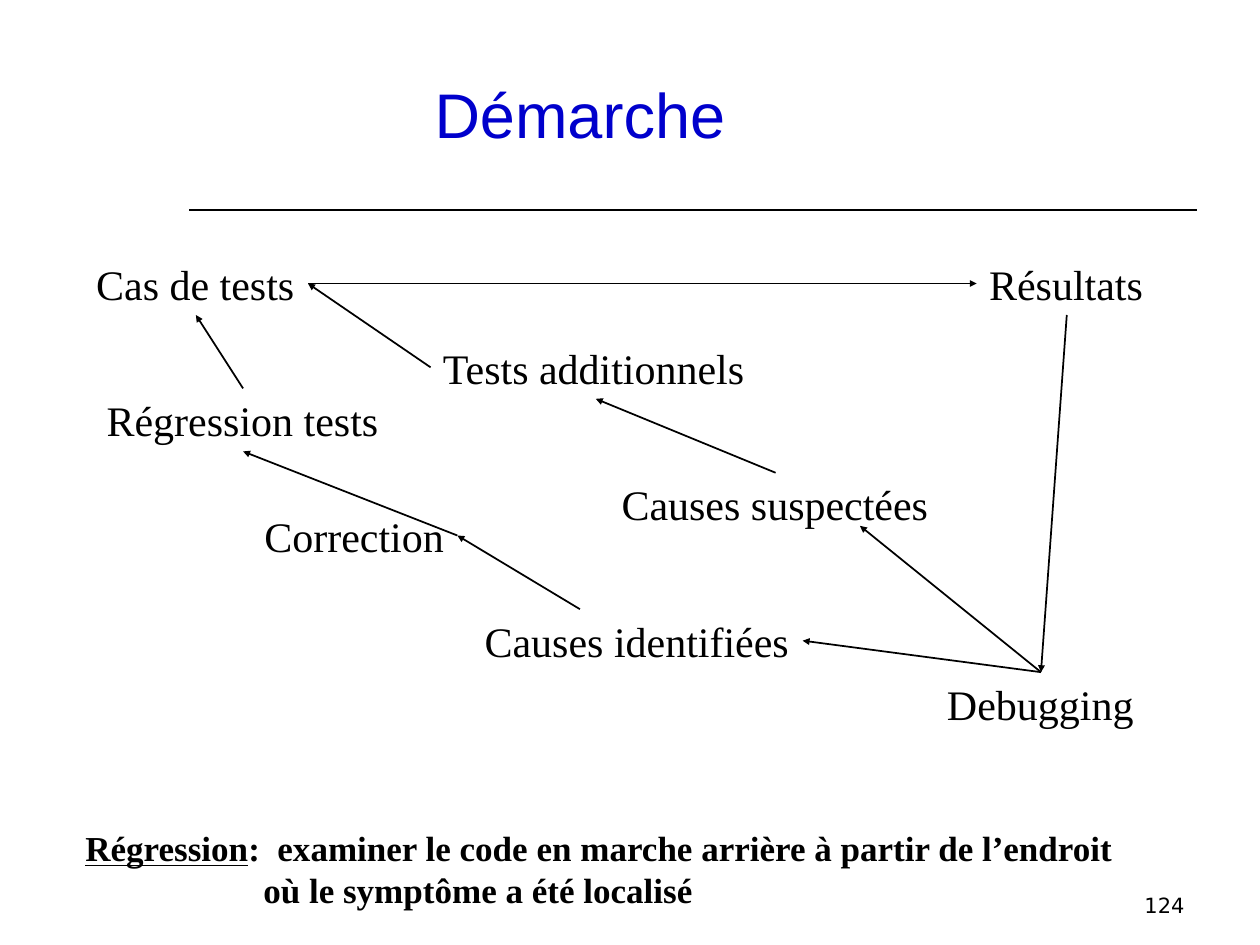
from dataclasses import dataclass
from enum import IntEnum

from lxml import etree
from pptx import Presentation
from pptx import util as u
from pptx.dml.color import RGBColor
from pptx.enum import shapes, text
from pptx.oxml import ns

BLACK = RGBColor(0x00, 0x00, 0x00)
BLUE = RGBColor(0x00, 0x00, 0xCC)
SERIF = "Times New Roman"
STEP_HEIGHT = 1.27


class Side(IntEnum):
    TOP = 0
    LEFT = 1
    BOTTOM = 2
    RIGHT = 3


@dataclass(frozen=True)
class Span:
    words: str
    size: int
    font: str = SERIF
    color: RGBColor = BLACK
    bold: bool = False
    underline: bool = False


@dataclass(frozen=True)
class Step:
    label: str
    left: float
    top: float
    width: float


@dataclass(frozen=True)
class End:
    step: Step
    side: Side
    shift: float = 0
    lift: float = 0

    def point(self) -> tuple[float, float]:
        across = {Side.LEFT: 0, Side.RIGHT: 1}.get(self.side, 0.5)
        down = {Side.TOP: 0, Side.BOTTOM: 1}.get(self.side, 0.5)
        return (self.step.left + across * self.step.width + self.shift,
                self.step.top + down * STEP_HEIGHT - self.lift)

    def is_centred(self) -> bool:
        return self.shift == 0 and self.lift == 0


CASES = Step("Cas de tests", 1.69, 5.08, 4.52)
RESULTS = Step("Résultats", 19.69, 5.08, 3.63)
DEBUGGING = Step("Debugging", 18.84, 13.55, 4.29)
IDENTIFIED = Step("Causes identifiées", 9.52, 12.28, 6.66)
SUSPECTED = Step("Causes suspectées", 12.28, 9.53, 6.71)
CORRECTION = Step("Correction", 5.08, 10.16, 4.14)
REGRESSION = Step("Régression tests", 1.9, 7.83, 6)
ADDITIONAL = Step("Tests additionnels", 8.68, 6.77, 6.66)
STEPS = (CASES, RESULTS, DEBUGGING, IDENTIFIED,
         SUSPECTED, CORRECTION, REGRESSION, ADDITIONAL)

ARROWS = (
    (End(CASES, Side.RIGHT), End(RESULTS, Side.LEFT)),
    (End(RESULTS, Side.BOTTOM), End(DEBUGGING, Side.TOP)),
    (End(DEBUGGING, Side.TOP), End(SUSPECTED, Side.BOTTOM, 1.7, 0.2)),
    (End(DEBUGGING, Side.TOP), End(IDENTIFIED, Side.RIGHT)),
    (End(SUSPECTED, Side.TOP), End(ADDITIONAL, Side.BOTTOM)),
    (End(IDENTIFIED, Side.TOP, -1.16), End(CORRECTION, Side.RIGHT)),
    (End(REGRESSION, Side.TOP), End(CASES, Side.BOTTOM)),
    (End(CORRECTION, Side.RIGHT), End(REGRESSION, Side.BOTTOM)),
    (End(ADDITIONAL, Side.LEFT), End(CASES, Side.RIGHT)),
)


def add_span(para, item: Span) -> None:
    span = para.add_run()
    span.text = item.words
    span.font.size = u.Pt(item.size)
    span.font.name = item.font
    span.font.bold = item.bold
    span.font.underline = item.underline
    span.font.color.rgb = item.color


def add_text(page, left: float, top: float, width: float, height: float,
             *lines: tuple[Span, ...], wrap: bool = False,
             anchor=text.MSO_ANCHOR.TOP, align=text.PP_ALIGN.LEFT):
    box = page.shapes.add_textbox(u.Cm(left), u.Cm(top), u.Cm(width), u.Cm(height))
    frame = box.text_frame
    frame.word_wrap = wrap
    fit = text.MSO_AUTO_SIZE
    frame.auto_size = fit.NONE if wrap else fit.SHAPE_TO_FIT_TEXT
    frame.vertical_anchor = anchor
    for index, line in enumerate(lines):
        para = frame.add_paragraph() if index else frame.paragraphs[0]
        para.alignment = align
        for item in line:
            add_span(para, item)
    return box


def add_line(page, start: tuple[float, float], finish: tuple[float, float]):
    line = page.shapes.add_connector(
        shapes.MSO_CONNECTOR.STRAIGHT, *(u.Cm(n) for n in (*start, *finish)))
    line.line.color.rgb = BLACK
    line.line.width = u.Pt(1)
    etree.SubElement(line._element.spPr, ns.qn("a:effectLst"))
    return line


def add_arrow(page, start: End, finish: End, boxes: dict) -> None:
    arrow = add_line(page, start.point(), finish.point())
    if start.is_centred():
        arrow.begin_connect(boxes[start.step], start.side)
    if finish.is_centred():
        arrow.end_connect(boxes[finish.step], finish.side)
    etree.SubElement(arrow.line._get_or_add_ln(), ns.qn("a:tailEnd"),
                     type="triangle", w="sm", len="sm")


def add_definition(page) -> None:
    box = add_text(
        page, 1.47, 16.54, 21.29, 1.96,
        (Span("Régression", 20, bold=True, underline=True),
         Span(":  examiner le code en marche arrière à partir de l’endroit", 20, bold=True)),
        (Span("où le symptôme a été localisé", 20, bold=True),))
    second = box.text_frame.paragraphs[1]
    second._p.get_or_add_pPr().set("marL", str(u.Cm(3.59)))


def main() -> None:
    deck = Presentation()
    deck.slide_width, deck.slide_height = u.Cm(25.4), u.Cm(19.05)
    page = deck.slides.add_slide(deck.slide_layouts[6])
    add_line(page, (3.81, 4.24), (24.13, 4.24))
    add_text(page, 18.21, 17.35, 5.92, 1.27, (Span("124", 12, "DejaVu Sans"),),
             wrap=True, anchor=text.MSO_ANCHOR.BOTTOM, align=text.PP_ALIGN.RIGHT)
    add_text(page, 8.51, 0, 15.21, 3.18, (Span("Démarche", 36, "Arial", BLUE),),
             wrap=True, anchor=text.MSO_ANCHOR.BOTTOM)
    boxes = {step: add_text(page, step.left, step.top, step.width, STEP_HEIGHT,
                            (Span(step.label, 24),)) for step in STEPS}
    for start, finish in ARROWS:
        add_arrow(page, start, finish, boxes)
    add_definition(page)
    deck.save("out.pptx")


if __name__ == "__main__":
    main()
